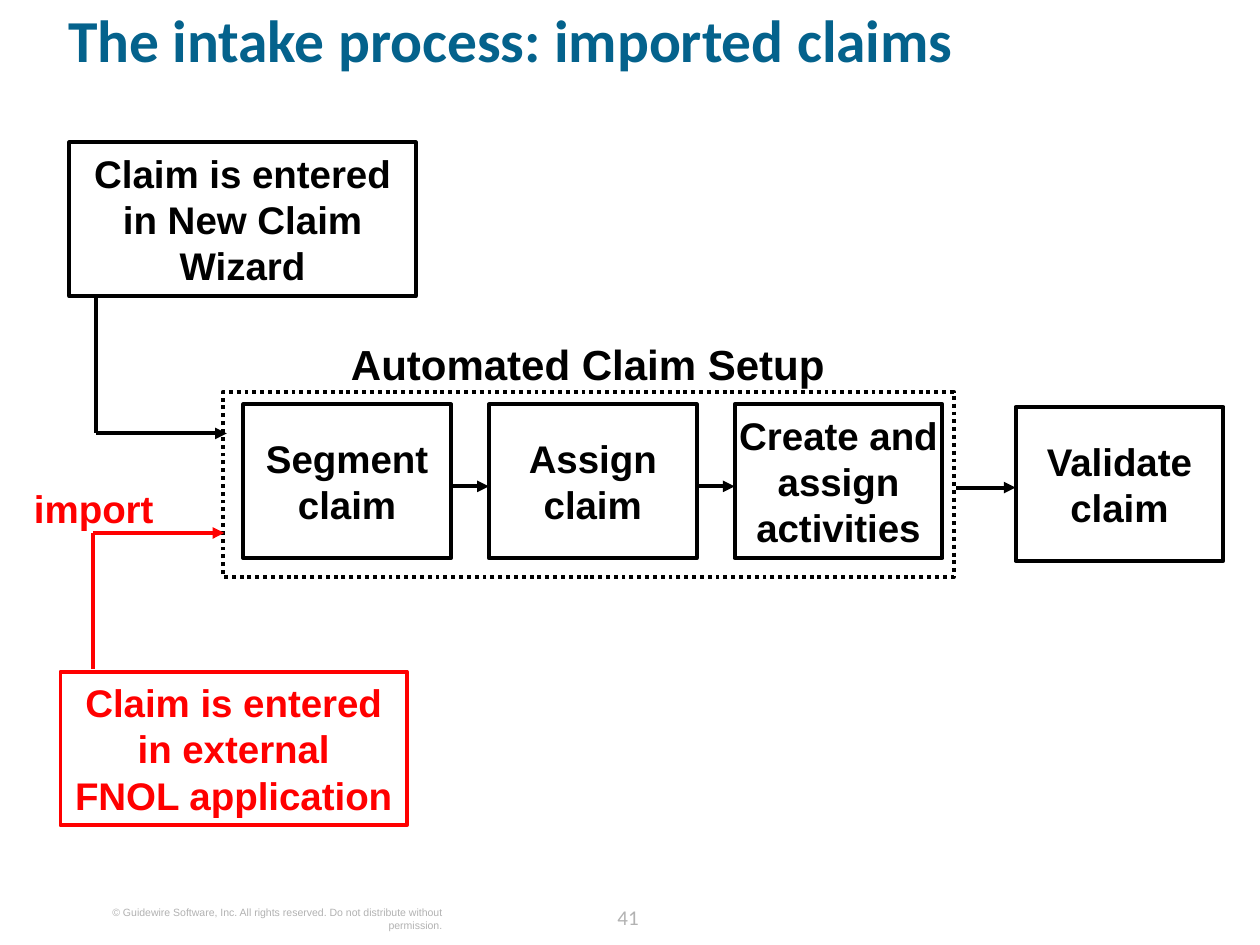
from pptx import Presentation
from pptx.dml.color import RGBColor
from pptx.enum.dml import MSO_LINE
from pptx.enum.shapes import MSO_CONNECTOR, MSO_SHAPE
from pptx.enum.text import MSO_ANCHOR, PP_ALIGN
from pptx.oxml.ns import qn
from pptx.util import Inches, Pt
from lxml.etree import SubElement

COLORS = {
    "title": "04628C",
    "main": "000000",
    "import": "FF0000",
    "footer": "B2B2B2",
    "box": "FFFFFF",
}
STEP_WIDTH, BOX_HEIGHT, STEP_PITCH = 1.65, 1.22, 1.95


def rgb(color):
    return RGBColor.from_string(COLORS[color])


def write(shape, text, size, color, align=PP_ALIGN.CENTER, font="Arial",
          bold=True, anchor=MSO_ANCHOR.TOP, margin=0):
    frame = shape.text_frame
    frame.word_wrap = True
    frame.vertical_anchor = anchor
    frame.margin_left = frame.margin_right = Inches(margin)
    frame.margin_top = frame.margin_bottom = 0
    frame.text = text
    para = frame.paragraphs[0]
    para.alignment = align
    para.font.name = font
    para.font.size = Pt(size)
    para.font.bold = bold
    para.font.color.rgb = rgb(color)
    return para


def add_label(page, left, top, width, height, text, size, color, **style):
    box = page.shapes.add_textbox(
        Inches(left), Inches(top), Inches(width), Inches(height))
    return write(box, text, size, color, **style)


def add_frame(page, left, top, width, height, color="main"):
    box = page.shapes.add_shape(
        MSO_SHAPE.RECTANGLE,
        Inches(left), Inches(top), Inches(width), Inches(height))
    box.shadow.inherit = False
    box.line.color.rgb = rgb(color)
    box.line.width = Pt(2.25)
    return box


def add_box(page, left, top, width, text, color="main", margin=0):
    box = add_frame(page, left, top, width, BOX_HEIGHT, color)
    box.fill.solid()
    box.fill.fore_color.rgb = rgb("box")
    write(box, text, 22, color, anchor=MSO_ANCHOR.MIDDLE, margin=margin)


def add_line(page, start, end, color="main", arrow=True):
    line = page.shapes.add_connector(
        MSO_CONNECTOR.STRAIGHT, *(Inches(value) for value in start + end))
    line.line.color.rgb = rgb(color)
    line.line.width = Pt(2.25)
    if arrow:
        SubElement(line.line._get_or_add_ln(), qn("a:tailEnd"), type="triangle")
    SubElement(line._element.spPr, qn("a:effectLst"))


def add_title(page, left, top, width, height):
    title = page.shapes.title
    title.left, title.top = Inches(left), Inches(top)
    title.width, title.height = Inches(width), Inches(height)
    para = write(title, "The intake process: imported claims", 34, "title",
                 align=PP_ALIGN.LEFT, font="Calibri")
    para.line_spacing = 0.8


def add_source(page, left, top, text, start, corner, entry, color):
    add_box(page, left, top, 2.75, text, color, margin=0.1)
    add_line(page, start, corner, color, arrow=False)
    add_line(page, corner, entry, color)


def add_setup(page, left, top, width, height):
    frame = add_frame(page, left, top, width, height)
    frame.fill.background()
    frame.line.dash_style = MSO_LINE.ROUND_DOT
    add_label(page, left + 0.71, top - 0.42, 4.37, 0.4,
              "Automated Claim Setup", 24, "main")
    steps = ["Segment\vclaim", "Assign\vclaim", "Create and assign activities"]
    for index, step in enumerate(steps):
        step_left = left + 0.16 + index * STEP_PITCH
        add_box(page, step_left, top + 0.1, STEP_WIDTH, step)
        if index:
            add_line(page, (step_left - 0.31, top + 0.75),
                     (step_left, top + 0.75))


def add_validation(page, left, top):
    add_box(page, left, top, STEP_WIDTH, "Validate\vclaim")
    add_line(page, (left - 0.47, top + 0.64), (left, top + 0.64))


def add_footer(page, top):
    add_label(page, 0.61, top + 0.06, 2.9, 0.2,
              "© Guidewire Software, Inc. All rights reserved. "
              "Do not distribute without permission.",
              6, "footer", align=PP_ALIGN.RIGHT, bold=False)
    number = add_label(page, 4.7, top, 0.57, 0.25, "41", 12, "footer",
                       font="Calibri", bold=False)
    number.line_spacing = Pt(18)


def main():
    deck = Presentation()
    deck.slide_width, deck.slide_height = Inches(10), Inches(7.5)
    page = deck.slides.add_slide(deck.slide_layouts[5])
    add_title(page, 0.54, 0.13, 9.1, 0.81)
    add_setup(page, 1.77, 3.11, 5.8, 1.47)
    add_validation(page, 8.06, 3.23)
    add_source(page, 0.55, 1.13, "Claim is entered in New Claim Wizard",
               (0.76, 2.35), (0.76, 3.44), (1.8, 3.44), "main")
    add_source(page, 0.48, 5.33,
               "Claim is entered in external\vFNOL application",
               (0.74, 5.31), (0.74, 4.23), (1.78, 4.23), "import")
    add_label(page, 0.27, 3.85, 1.07, 0.37, "import", 22, "import",
              align=PP_ALIGN.LEFT)
    add_footer(page, 7.13)
    deck.save("out.pptx")


if __name__ == "__main__":
    main()
